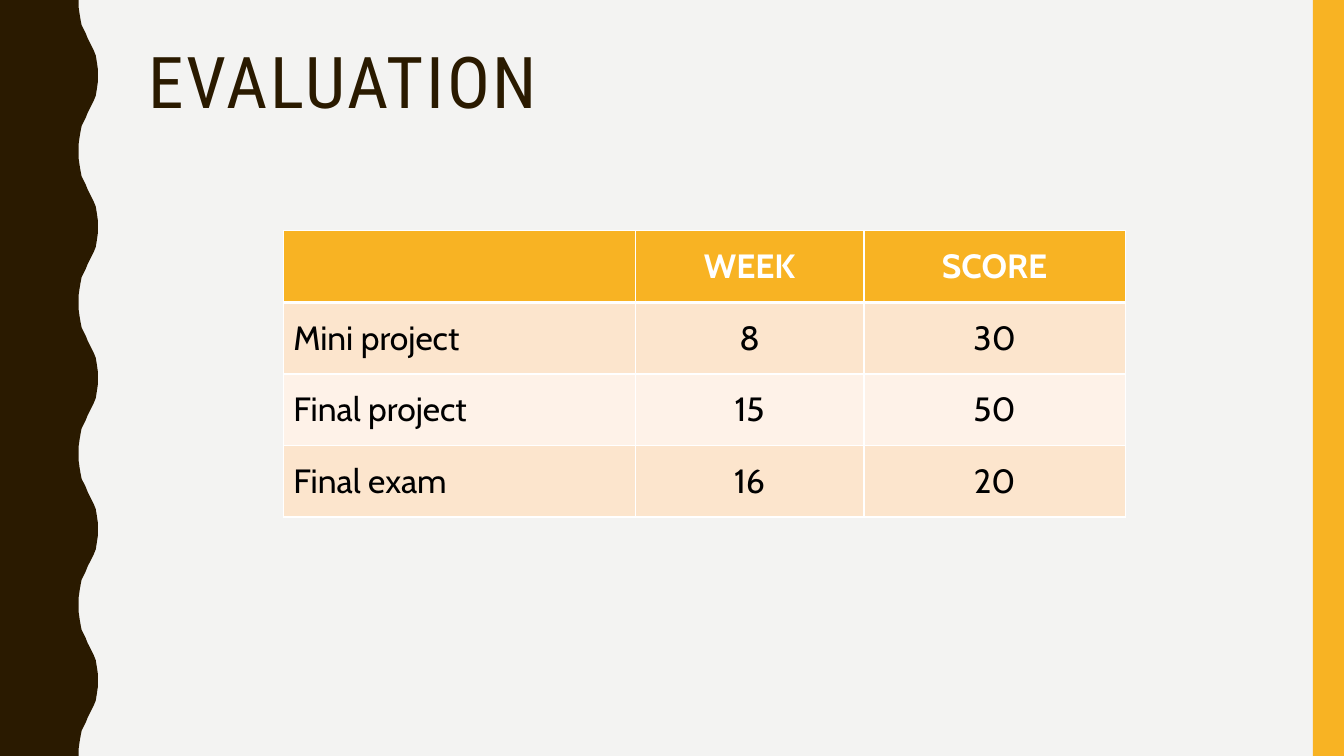
"""Build the course evaluation slide with its score table."""
from lxml import etree
from pptx import Presentation
from pptx.dml.color import RGBColor
from pptx.enum.shapes import MSO_SHAPE
from pptx.enum.text import MSO_ANCHOR, PP_ALIGN
from pptx.oxml.ns import qn
from pptx.util import Inches, Pt

RECT = MSO_SHAPE.RECTANGLE
TOP, MIDDLE = MSO_ANCHOR.TOP, MSO_ANCHOR.MIDDLE
LEFT, CENTER = PP_ALIGN.LEFT, PP_ALIGN.CENTER

TITLE = "EVALUATION"
ROWS = [
    ("", "WEEK", "SCORE"),
    ("Mini project", "8", "30"),
    ("Final project", "15", "50"),
    ("Final exam", "16", "20"),
]
THEME = {
    "background": "F3F3F2", "dark": "2A1A00", "accent": "F8B323",
    "bands": ("FEF2E8", "FCE5CD"), "white": "FFFFFF", "black": "000000",
    "title_font": "Roboto Condensed", "body_font": "Cabin",
    "title_size": 51, "body_size": 24, "rule": 1, "header_rule": 3,
}
SLIDE_W, SLIDE_H = 13.33, 7.5
STRIPE_W = 0.31
TABLE_X, TABLE_Y, ROW_H = 2.81, 2.29, 0.71
COL_WIDTHS = (3.49, 2.27, 2.59)
WAVE_PERIOD, WAVE_COUNT = 1.5, 5
WAVE_RISE = [
    (0.78, 0), (0.78, 0.07), (0.79, 0.14), (0.8, 0.2), (0.81, 0.25),
    (0.83, 0.29), (0.85, 0.33), (0.87, 0.38), (0.89, 0.42), (0.91, 0.46),
    (0.93, 0.5), (0.95, 0.55), (0.96, 0.61), (0.97, 0.68), (0.97, 0.75),
]


def rgb(name):
    return RGBColor.from_string(name)


def paint(sp, color):
    sp.shadow.inherit = False
    sp.fill.solid()
    sp.fill.fore_color.rgb = rgb(color)
    sp.line.fill.background()


def write(tf, text, *, font, size, color, bold=False, align=LEFT,
          line_spacing=None, tracking=None):
    p = tf.paragraphs[0]
    p.alignment = align
    p.line_spacing = line_spacing
    r = p.add_run()
    r.text = text
    r.font.name, r.font.size, r.font.bold = font, Pt(size), bold
    r.font.color.rgb = rgb(color)
    if tracking:
        r.font._element.set("spc", str(tracking * 100))


def add_borders(cell, top, bottom):
    tc_pr = cell._tc.get_or_add_tcPr()
    widths = {"L": THEME["rule"], "R": THEME["rule"], "T": top, "B": bottom}
    for side, width in widths.items():
        ln = etree.SubElement(tc_pr, qn(f"a:ln{side}"), w=str(Pt(width)))
        fill = etree.SubElement(ln, qn("a:solidFill"))
        etree.SubElement(fill, qn("a:srgbClr"), val=THEME["white"])


def add_wave(s):
    period = WAVE_RISE + [(x, WAVE_PERIOD - y) for x, y in WAVE_RISE[-2::-1]]
    edge = [(x, y + i * WAVE_PERIOD) for i in range(WAVE_COUNT) for x, y in period]
    points = [(Inches(x), Inches(y)) for x, y in edge + [(0, SLIDE_H)]]
    builder = s.shapes.build_freeform(0, 0)
    builder.add_line_segments(points, close=True)
    paint(builder.convert_to_shape(), THEME["dark"])


def add_title(s):
    box = s.shapes.add_textbox(Inches(1.37), Inches(0.42), Inches(11.13), Inches(1.63))
    tf = box.text_frame
    tf.word_wrap = True
    tf.vertical_anchor = TOP
    write(tf, TITLE, font=THEME["title_font"], size=THEME["title_size"],
          color=THEME["dark"], line_spacing=0.9, tracking=2)


def add_scores(s):
    table = s.shapes.add_table(
        len(ROWS), len(COL_WIDTHS), Inches(TABLE_X), Inches(TABLE_Y),
        Inches(sum(COL_WIDTHS)), Inches(ROW_H * len(ROWS))).table
    for column, width in zip(table.columns, COL_WIDTHS):
        column.width = Inches(width)
    for i, values in enumerate(ROWS):
        header = i == 0
        table.rows[i].height = Inches(ROW_H)
        top = THEME["header_rule"] if i == 1 else THEME["rule"]
        bottom = THEME["header_rule"] if header else THEME["rule"]
        for j, value in enumerate(values):
            cell = table.cell(i, j)
            cell.vertical_anchor = MIDDLE
            add_borders(cell, top, bottom)
            cell.fill.solid()
            cell.fill.fore_color.rgb = rgb(THEME["accent"] if header else THEME["bands"][i % 2])
            if value:
                write(cell.text_frame, value, font=THEME["body_font"],
                      size=THEME["body_size"], bold=header,
                      color=THEME["white"] if header else THEME["black"],
                      align=CENTER if j else LEFT)


def main():
    prs = Presentation()
    prs.slide_width, prs.slide_height = Inches(SLIDE_W), Inches(SLIDE_H)
    s = prs.slides.add_slide(prs.slide_layouts[6])
    s.background.fill.solid()
    s.background.fill.fore_color.rgb = rgb(THEME["background"])
    add_wave(s)
    stripe = s.shapes.add_shape(RECT, Inches(SLIDE_W - STRIPE_W), 0,
                                Inches(STRIPE_W), Inches(SLIDE_H))
    paint(stripe, THEME["accent"])
    add_title(s)
    add_scores(s)
    prs.save("out.pptx")


if __name__ == "__main__":
    main()
